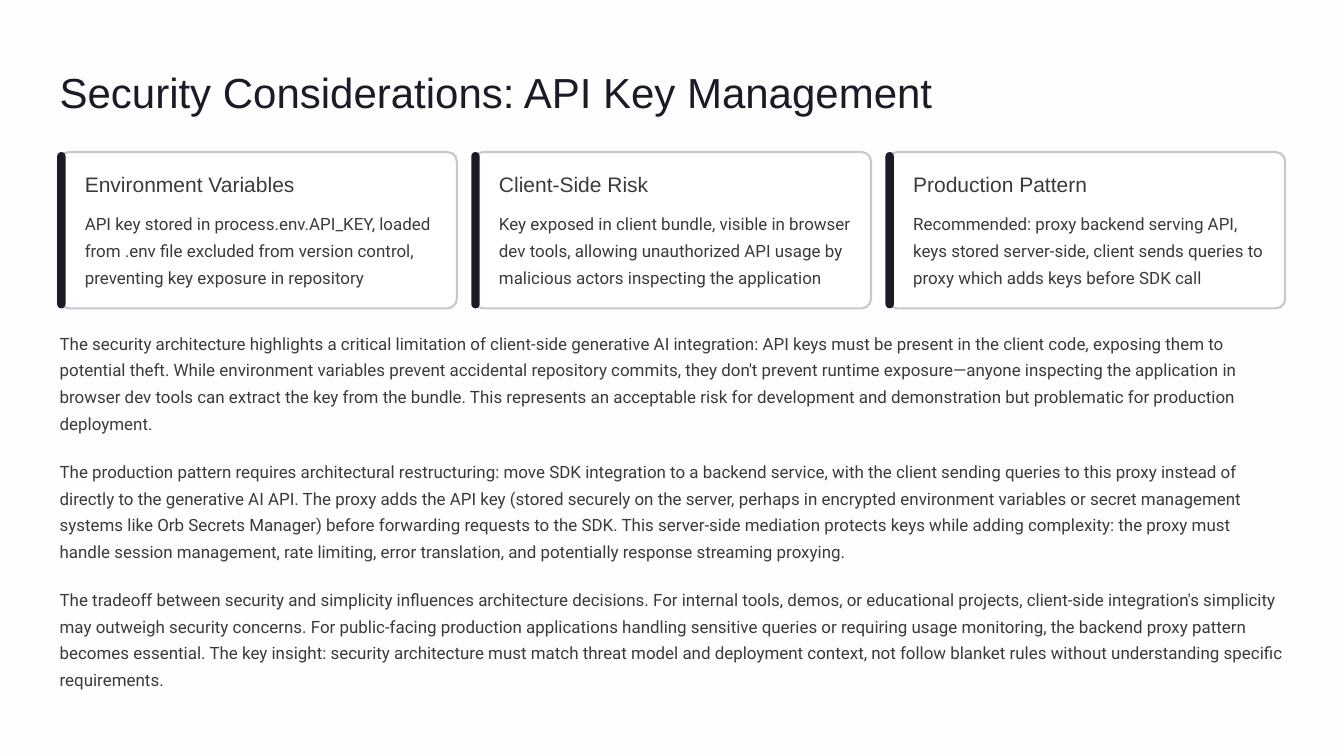
from pptx import Presentation
from pptx.dml.color import RGBColor
from pptx.enum.shapes import MSO_SHAPE
from pptx.util import Pt

ROUNDED = MSO_SHAPE.ROUNDED_RECTANGLE

COLORS = {
    "background": "FEFEFE",
    "card": "FFFFFF",
    "border": "C7C7D0",
    "dark": "1B1B27",
    "text": "3C3939",
}
HEADING_FONT = "Arial"
BODY_FONT = "Roboto"

LEFT = 51.1
CONTENT_WIDTH = 1050.5
CARD_TOP = 130.3
CARD_WIDTH = 340.5
CARD_HEIGHT = 134
CARD_PITCH = 355
PARAGRAPH_TOP = 280
PARAGRAPH_PITCH = 109.8

TITLE = "Security Considerations: API Key Management"
CARDS = [
    ("Environment Variables",
     "API key stored in process.env.API_KEY, loaded from .env file excluded "
     "from version control, preventing key exposure in repository"),
    ("Client-Side Risk",
     "Key exposed in client bundle, visible in browser dev tools, allowing "
     "unauthorized API usage by malicious actors inspecting the application"),
    ("Production Pattern",
     "Recommended: proxy backend serving API, keys stored server-side, client "
     "sends queries to proxy which adds keys before SDK call"),
]
PARAGRAPHS = [
    "The security architecture highlights a critical limitation of client-side "
    "generative AI integration: API keys must be present in the client code, "
    "exposing them to potential theft. While environment variables prevent "
    "accidental repository commits, they don't prevent runtime exposure—anyone "
    "inspecting the application in browser dev tools can extract the key from "
    "the bundle. This represents an acceptable risk for development and "
    "demonstration but problematic for production deployment.",
    "The production pattern requires architectural restructuring: move SDK "
    "integration to a backend service, with the client sending queries to this "
    "proxy instead of directly to the generative AI API. The proxy adds the API "
    "key (stored securely on the server, perhaps in encrypted environment "
    "variables or secret management systems like Orb Secrets Manager) before "
    "forwarding requests to the SDK. This server-side mediation protects keys "
    "while adding complexity: the proxy must handle session management, rate "
    "limiting, error translation, and potentially response streaming proxying.",
    "The tradeoff between security and simplicity influences architecture "
    "decisions. For internal tools, demos, or educational projects, client-side "
    "integration's simplicity may outweigh security concerns. For public-facing "
    "production applications handling sensitive queries or requiring usage "
    "monitoring, the backend proxy pattern becomes essential. The key insight: "
    "security architecture must match threat model and deployment context, not "
    "follow blanket rules without understanding specific requirements.",
]


def rgb(name):
    return RGBColor.from_string(COLORS[name])


def add_text(slide, text, left, top, width, height, size, spacing,
             font=BODY_FONT, color="text", wrap=True):
    box = slide.shapes.add_textbox(Pt(left), Pt(top), Pt(width), Pt(height))
    frame = box.text_frame
    frame.margin_left = frame.margin_right = 0
    frame.margin_top = frame.margin_bottom = 0
    frame.word_wrap = wrap
    frame.text = text
    paragraph = frame.paragraphs[0]
    paragraph.line_spacing = Pt(spacing)
    run_font = paragraph.runs[0].font
    run_font.name = font
    run_font.size = Pt(size)
    run_font.color.rgb = rgb(color)


def add_rounded(slide, left, top, width, height, radius, fill, border=None):
    shape = slide.shapes.add_shape(
        ROUNDED, Pt(left), Pt(top), Pt(width), Pt(height))
    shape.shadow.inherit = False
    shape.adjustments[0] = radius
    shape.fill.solid()
    shape.fill.fore_color.rgb = rgb(fill)
    if border:
        shape.line.color.rgb = rgb(border)
        shape.line.width = Pt(1.8)
    else:
        shape.line.fill.background()


def add_card(slide, left, heading, body):
    add_rounded(slide, left, CARD_TOP, CARD_WIDTH, CARD_HEIGHT, 0.06,
                "card", "border")
    add_rounded(slide, left - 2.1, CARD_TOP, 7.2, CARD_HEIGHT, 0.5, "dark")
    text_left = left + 21.6
    add_text(slide, heading, text_left, CARD_TOP + 15.8, 190, 23, 18, 22.5,
             font=HEADING_FONT, wrap=False)
    add_text(slide, body, text_left, CARD_TOP + 47.5, 302.4, 70, 14.5, 23)


def main():
    presentation = Presentation()
    presentation.slide_width = Pt(1152)
    presentation.slide_height = Pt(648)
    slide = presentation.slides.add_slide(presentation.slide_layouts[6])
    slide.background.fill.solid()
    slide.background.fill.fore_color.rgb = rgb("background")

    add_text(slide, TITLE, LEFT, 55.4, 813.6, 45.4, 36, 45,
             font=HEADING_FONT, color="dark", wrap=False)
    for index, (heading, body) in enumerate(CARDS):
        add_card(slide, LEFT + index * CARD_PITCH, heading, body)
    for index, text in enumerate(PARAGRAPHS):
        add_text(slide, text, LEFT, PARAGRAPH_TOP + index * PARAGRAPH_PITCH,
                 CONTENT_WIDTH, 93, 14.5, 23)

    presentation.save("out.pptx")


if __name__ == "__main__":
    main()
